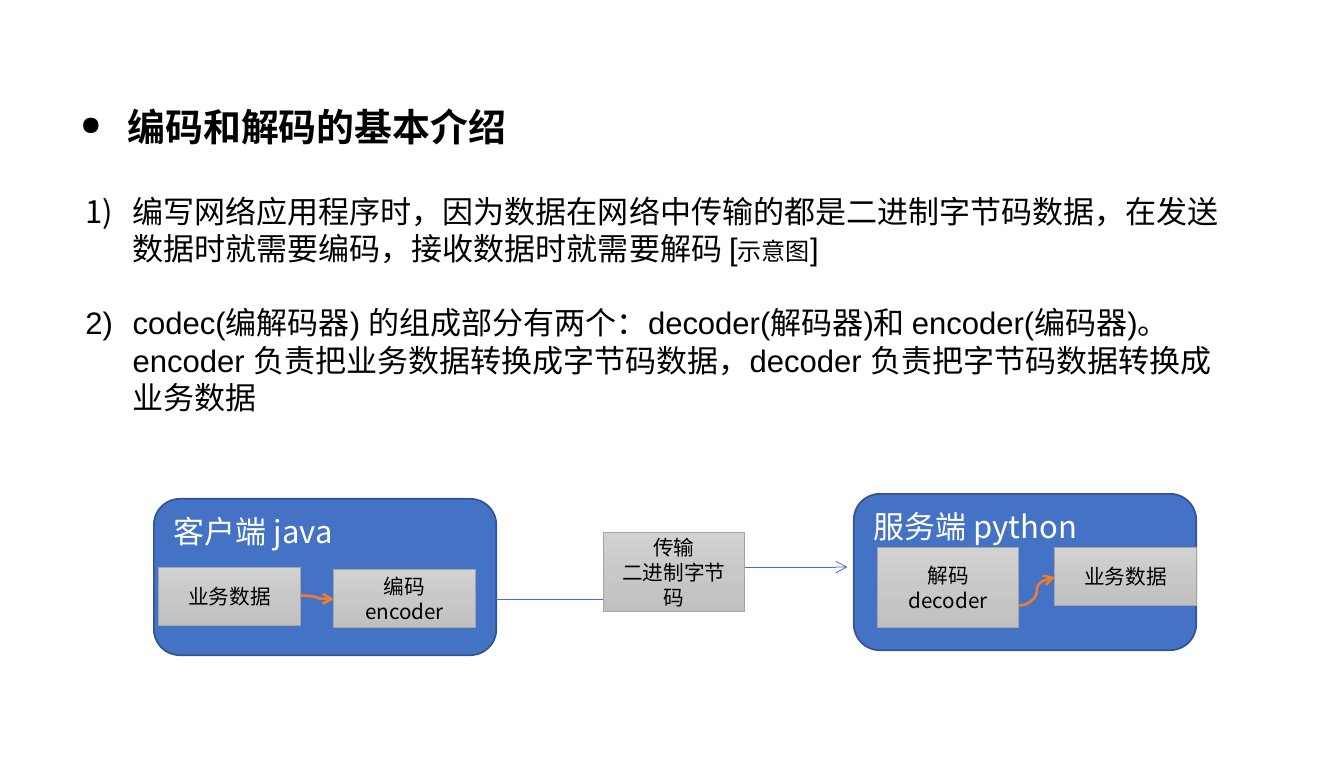
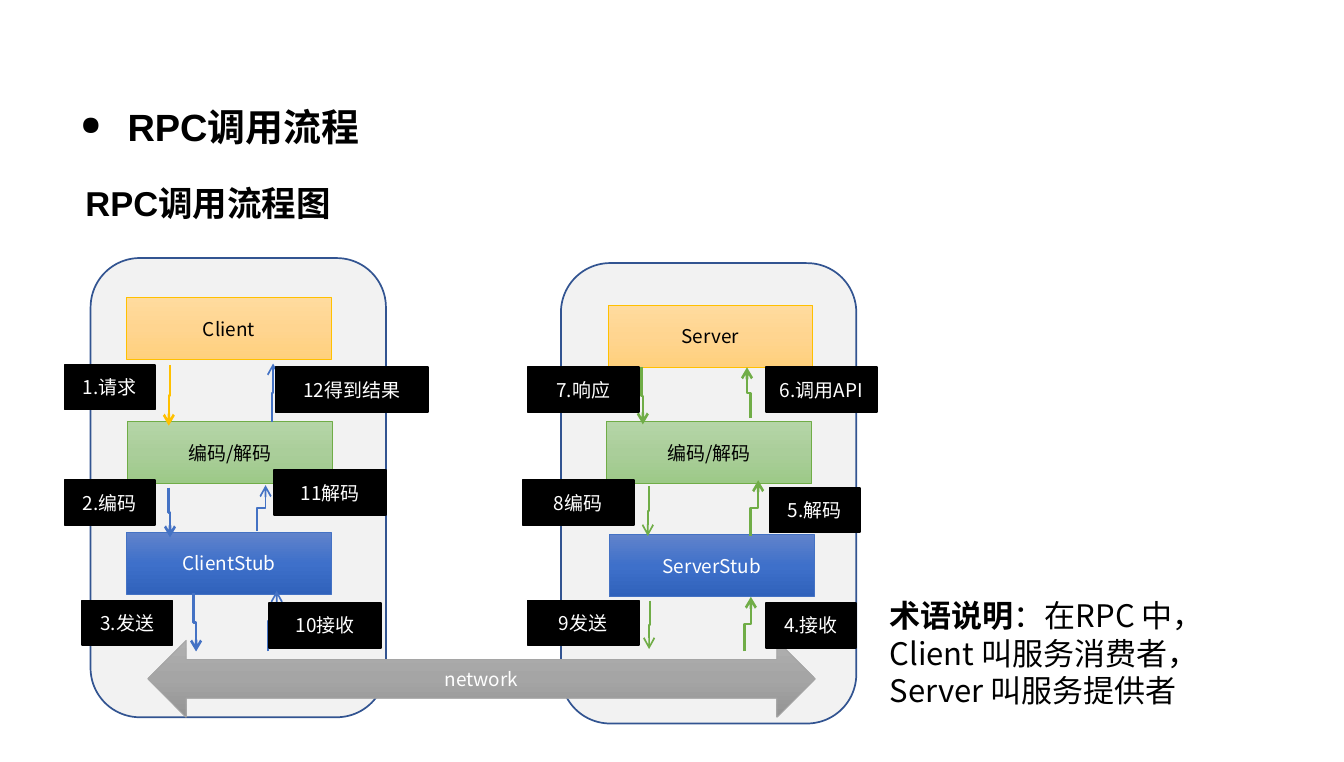
from lxml import etree
from pptx import Presentation
from pptx.dml.color import RGBColor
from pptx.enum import shapes, text
from pptx.oxml import ns
from pptx.util import Inches, Pt

BLACK = RGBColor(0x00, 0x00, 0x00)
WHITE = RGBColor(0xFF, 0xFF, 0xFF)
BLUE = RGBColor(0x44, 0x72, 0xC4)
NAVY = RGBColor(0x32, 0x54, 0x91)
GOLD = RGBColor(0xFF, 0xC0, 0x00)
GREEN = RGBColor(0x70, 0xAD, 0x47)
ORANGE = RGBColor(0xED, 0x7D, 0x31)
GRAY = RGBColor(0xA5, 0xA5, 0xA5)
PALE = RGBColor(0xF2, 0xF2, 0xF2)

# Gradient stops from top to bottom, then the outline colour
SILVER = (("D2D2D2", "C8C8C8", "C0C0C0"), GRAY)
STEEL = (("AFAFAF", "A5A5A5", "939393"), GRAY)
AMBER = (("FFDB9E", "FFD590", "FFD07C"), GOLD)
LEAF = (("B5D5A7", "AACE9A", "9CC987"), GREEN)
OCEAN = (("6183CB", "3E70CA", "3062BB"), BLUE)

SANS, ARIAL = "Noto Sans CJK SC", "Arial"
KIND = shapes.MSO_SHAPE
BENT, CURVE = shapes.MSO_CONNECTOR.ELBOW, shapes.MSO_CONNECTOR.CURVE


def sub(parent, tag, **attrs):
    return etree.SubElement(parent, ns.qn(tag), **attrs)


def add_run(para, words, size, color=BLACK, face=SANS, bold=False):
    run = para.add_run()
    run.text = words
    font = run.font
    font.size, font.bold, font.name = Pt(size), bold, face
    font.color.rgb = color
    sub(run._r.get_or_add_rPr(), "a:ea", typeface=SANS)


def text_box(slide, x, y, w, h):
    frame = slide.shapes.add_textbox(*map(Inches, (x, y, w, h))).text_frame
    frame.word_wrap = True
    frame.auto_size = text.MSO_AUTO_SIZE.SHAPE_TO_FIT_TEXT
    return frame


def hang(para):
    """Give a list paragraph its hanging indent."""
    props = para._p.get_or_add_pPr()
    props.set("marL", str(Inches(0.38)))
    props.set("indent", str(-Inches(0.38)))
    return props


def add_title(slide, words):
    para = text_box(slide, 0.55, 0.83, 8.61, 0.43).paragraphs[0]
    props = hang(para)
    sub(sub(props, "a:buClr"), "a:srgbClr", val=str(BLACK))
    sub(props, "a:buSzPct", val="70000")
    sub(props, "a:buChar", char="●")
    para.line_spacing = 0.9
    add_run(para, words, 22, face=ARIAL, bold=True)


def add_block(slide, kind, box, fill, line, width):
    """Draw a shape; fill is a colour or a tuple of gradient stops."""
    block = slide.shapes.add_shape(kind, *map(Inches, box))
    block.shadow.inherit = False
    if isinstance(fill, RGBColor):
        block.fill.solid()
        block.fill.fore_color.rgb = fill
    else:
        block.fill.gradient()
        block.fill.gradient_angle = 270
        stops = block._element.spPr.find(".//" + ns.qn("a:gsLst"))
        stops.clear()
        for spot, tone in zip((0, 50000, 100000), fill):
            sub(sub(stops, "a:gs", pos=str(spot)), "a:srgbClr", val=tone)
    block.line.color.rgb = line
    block.line.width = Pt(width)
    return block


def add_label(block, lines, size, color=BLACK):
    frame = block.text_frame
    frame.vertical_anchor = text.MSO_ANCHOR.MIDDLE
    for i, words in enumerate(lines):
        para = frame.add_paragraph() if i else frame.paragraphs[0]
        para.alignment = text.PP_ALIGN.CENTER
        add_run(para, words, size, color)


def add_node(slide, box, lines, style, size, color=BLACK, kind=KIND.RECTANGLE):
    add_label(add_block(slide, kind, box, *style, 0.5), lines, size, color)


def add_arrow(slide, kind, ends, color, width, upright=False):
    """Draw an arrow; an upright one leaves and arrives vertically."""
    x1, y1, x2, y2 = ends
    if upright:
        mx, my = (x1 + x2) / 2, (y1 + y2) / 2
        dx, dy = (x2 - x1) / 2, (y2 - y1) / 2
        x1, y1, x2, y2 = mx - dy, my + dx, mx + dy, my - dx
    arrow = slide.shapes.add_connector(kind, *map(Inches, (x1, y1, x2, y2)))
    arrow.line.color.rgb = color
    arrow.line.width = Pt(width)
    props = arrow._element.spPr
    if upright:
        props.find(ns.qn("a:xfrm")).set("rot", "5400000")
    sub(props.find(ns.qn("a:ln")), "a:tailEnd", type="arrow")
    sub(props, "a:effectLst")


def add_points(slide, box, points):
    frame = text_box(slide, *box)
    for i, runs in enumerate(points):
        para = frame.add_paragraph() if i else frame.paragraphs[0]
        sub(hang(para), "a:buAutoNum", type="arabicParenR")
        if i:
            para.space_before = Pt(21.5)
        for words, size in runs:
            add_run(para, words, size, face=ARIAL)


def add_host(slide, x, y, name):
    host = add_block(slide, KIND.ROUNDED_RECTANGLE, (x, y, 2.76, 1.26), BLUE, NAVY, 1)
    host.text_frame.vertical_anchor = text.MSO_ANCHOR.TOP
    para = host.text_frame.paragraphs[0]
    para.alignment = text.PP_ALIGN.LEFT
    add_run(para, name, 18, WHITE)


def add_steps(slide, x, y, steps):
    """Place grey step boxes relative to a corner."""
    for dx, dy, h, lines in steps:
        add_node(slide, (x + dx, y + dy, 1.14, h), lines, SILVER, 12)


def codec_slide(slide):
    add_title(slide, "编码和解码的基本介绍")
    add_points(slide, (0.59, 1.5, 9.39, 2.79), [
        [("编写网络应用程序时，因为数据在网络中传输的都是二进制字节码数据，"
          "在发送数据时就需要编码，接收数据时就需要解码 [", 18),
         ("示意图", 14), ("]", 18)],
        [("codec(编解码器) 的组成部分有两个：decoder(解码器)和 encoder(编码器)。"
          "encoder 负责把业务数据转换成字节码数据，"
          "decoder 负责把字节码数据转换成业务数据", 18)],
    ])
    add_host(slide, 1.24, 4.02, "客户端 java")
    add_steps(slide, 1.24, 4.02, [(0.04, 0.55, 0.47, ["业务数据"]),
                                  (1.45, 0.57, 0.47, ["编码", "encoder"])])
    add_host(slide, 6.88, 3.98, "服务端 python")
    add_arrow(slide, BENT, (4, 4.83, 6.83, 4.57), BLUE, 0.5)
    add_steps(slide, 4.86, 4.29, [(0, 0, 0.64, ["传输", "二进制字节码"])])
    add_steps(slide, 6.88, 3.98, [(0.19, 0.43, 0.65, ["解码", "decoder"]),
                                  (1.62, 0.43, 0.47, ["业务数据"])])
    add_arrow(slide, CURVE, (2.42, 4.8, 2.69, 4.83), ORANGE, 1.5)
    add_arrow(slide, CURVE, (8.21, 4.88, 8.5, 4.65), ORANGE, 1.5)


def add_stack(slide, x, y, h, layers):
    """Draw one side's panel with its three layers."""
    add_block(slide, KIND.ROUNDED_RECTANGLE, (x, y, 2.38, h), PALE, NAVY, 1)
    looks = ((AMBER, BLACK), (LEAF, BLACK), (OCEAN, WHITE))
    for (dx, dy, name), (style, color) in zip(layers, looks):
        add_node(slide, (x + dx, y + dy, 1.65, 0.5), [name], style, 11, color)


def add_calls(slide, x, y, calls):
    """Draw the numbered calls of one side relative to its panel."""
    for (x1, y1, x2, y2), color, width, (dx, dy, w), name in calls:
        ends = (x + x1, y + y1, x + x2, y + y2)
        add_arrow(slide, BENT, ends, color, width, upright=True)
        tag = add_block(slide, KIND.RECTANGLE, (x + dx, y + dy, w, 0.36),
                        BLACK, BLACK, 1)
        add_label(tag, [name], 11, WHITE)


CLIENT = [
    ((0.64, 0.86, 0.63, 1.35), GOLD, 1.5, (-0.21, 0.86, 0.73), "1.请求"),
    ((0.63, 1.85, 0.64, 2.25), BLUE, 1.5, (-0.21, 1.79, 0.73), "2.编码"),
    ((0.83, 2.7, 0.85, 3.17), BLUE, 1.5, (-0.07, 2.76, 0.73), "3.发送"),
    ((1.43, 3.17, 1.5, 2.68), BLUE, 1, (1.44, 2.78, 0.9), "10接收"),
    ((1.34, 2.2, 1.41, 1.83), BLUE, 1, (1.48, 1.71, 0.9), "11解码"),
    ((1.46, 1.32, 1.47, 0.85), BLUE, 1, (1.49, 0.88, 1.23), "12得到结果"),
]
SERVER = [
    ((1.48, 3.13, 1.53, 2.69), GREEN, 1.5, (1.65, 2.74, 0.73), "4.接收"),
    ((1.53, 2.2, 1.59, 1.75), GREEN, 1.5, (1.68, 1.81, 0.73), "5.解码"),
    ((1.53, 1.25, 1.5, 0.84), GREEN, 1.5, (1.65, 0.84, 0.9), "6.调用API"),
    ((0.65, 0.84, 0.66, 1.3), GREEN, 1.5, (-0.27, 0.84, 0.9), "7.响应"),
    ((0.71, 1.8, 0.7, 2.2), GREEN, 1, (-0.31, 1.75, 0.9), "8编码"),
    ((0.72, 2.72, 0.71, 3.11), GREEN, 1, (-0.27, 2.72, 0.9), "9发送"),
]


def rpc_slide(slide):
    add_title(slide, "RPC调用流程")
    head = text_box(slide, 0.59, 1.42, 9.86, 0.44)
    add_run(head.paragraphs[0], "RPC调用流程图", 20, face=ARIAL, bold=True)
    add_stack(slide, 0.73, 2.08, 3.7, [
        (0.29, 0.32, "Client"), (0.3, 1.32, "编码/解码"), (0.29, 2.21, "ClientStub")])
    add_stack(slide, 4.52, 2.12, 3.71, [
        (0.38, 0.34, "Server"), (0.37, 1.28, "编码/解码"), (0.39, 2.19, "ServerStub")])
    add_node(slide, (1.19, 5.16, 5.38, 0.62), ["network"], STEEL, 11, WHITE,
             KIND.LEFT_RIGHT_ARROW)
    add_calls(slide, 0.73, 2.08, CLIENT)
    add_calls(slide, 4.52, 2.12, SERVER)
    note = text_box(slide, 7.07, 4.76, 3.39, 1.01).paragraphs[0]
    add_run(note, "术语说明", 18, bold=True)
    add_run(note, "：在RPC 中， Client 叫服务消费者，Server 叫服务提供者", 18)


def main():
    deck = Presentation()
    deck.slide_width, deck.slide_height = Inches(10.83), Inches(6.14)
    for build in (codec_slide, rpc_slide):
        build(deck.slides.add_slide(deck.slide_layouts[6]))
    deck.save("out.pptx")


if __name__ == "__main__":
    main()
